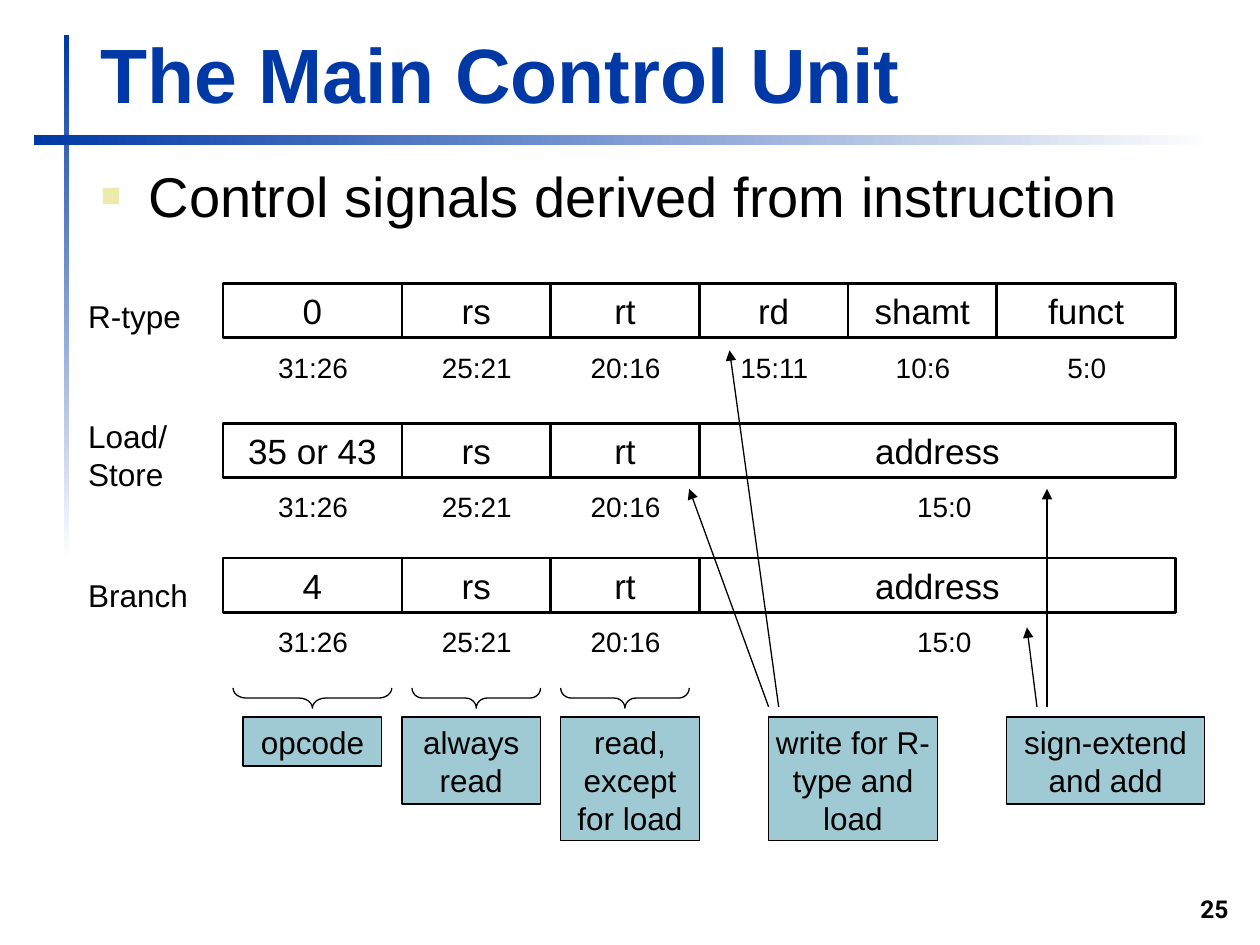
from itertools import accumulate

from lxml import etree
from pptx import Presentation
from pptx.dml.color import RGBColor
from pptx.enum.shapes import MSO_CONNECTOR, MSO_SHAPE
from pptx.enum.text import MSO_ANCHOR, PP_ALIGN
from pptx.oxml.ns import qn
from pptx.util import Inches, Pt

BLACK = RGBColor(0x00, 0x00, 0x00)
WHITE = RGBColor(0xFF, 0xFF, 0xFF)
BLUE = RGBColor(0x00, 0x39, 0xA6)
TEAL = RGBColor(0x9F, 0xCA, 0xD3)
SAND = RGBColor(0xEC, 0xEA, 0xAC)
RECT, BRACE = MSO_SHAPE.RECTANGLE, MSO_SHAPE.LEFT_BRACE
LINE = MSO_CONNECTOR.STRAIGHT
LEFT, MID, RIGHT = PP_ALIGN.LEFT, PP_ALIGN.CENTER, PP_ALIGN.RIGHT
TOP, BOTTOM = MSO_ANCHOR.TOP, MSO_ANCHOR.BOTTOM

WIDTHS = [1.42, 1.18, 1.18, 1.18, 1.18, 1.42]
EDGES = list(accumulate(WIDTHS, initial=1.77))
SHARED = [("rs", "25:21", 1), ("rt", "20:16", 1)]
ADDRESS = [("address", "15:0", 3)]
FORMATS = [
    ("R-type", 2.31, 2.25, [("0", "31:26", 1), *SHARED, ("rd", "15:11", 1),
                            ("shamt", "10:6", 1), ("funct", "5:0", 1)]),
    ("Load/\nStore", 3.26, 3.36, [("35 or 43", "31:26", 1), *SHARED, *ADDRESS]),
    ("Branch", 4.52, 4.43, [("4", "31:26", 1), *SHARED, *ADDRESS]),
]
NOTES = [
    ("opcode", 1.93, 1.1, 0.39),
    ("always read", 3.19, 1.1, 0.69),
    ("read, except for load", 4.45, 1.1, 0.98),
    ("write for R-type and load", 6.1, 1.34, 0.98),
    ("sign-extend and add", 7.99, 1.57, 0.69),
]
ARROWS = [(6.1, 5.47, 3.88), (6.18, 5.79, 2.78),
          (8.23, 8.15, 4.98), (8.31, 8.31, 3.88)]


def write(shape, text, size=18, align=LEFT, anchor=TOP, wrap=True,
          color=BLACK, bold=False, font="Arial", bullet=None):
    """Put formatted text into a shape."""
    frame = shape.text_frame
    frame.word_wrap = wrap
    frame.vertical_anchor = anchor
    frame.margin_left = frame.margin_right = Inches(0.05)
    frame.margin_top = frame.margin_bottom = Inches(0.05)
    para = frame.paragraphs[0]
    para.text = text
    para.alignment = align
    if bullet:
        mark(para, bullet)
    para.font.size = Pt(size)
    para.font.name = font
    para.font.bold = bold
    para.font.color.rgb = color


def mark(para, sign):
    """Give a paragraph a coloured bullet and a hanging indent."""
    props = para._p.get_or_add_pPr()
    props.set("marL", str(Inches(0.38)))
    props.set("indent", str(-Inches(0.38)))
    tint = etree.SubElement(props, qn("a:buClr"))
    etree.SubElement(tint, qn("a:srgbClr"), val=str(SAND))
    etree.SubElement(props, qn("a:buSzPct"), val="60000")
    etree.SubElement(props, qn("a:buFont"), typeface="Arial")
    etree.SubElement(props, qn("a:buChar"), char=sign)


def label(slide, text, x, y, w, h, **style):
    """Add a text box."""
    box = slide.shapes.add_textbox(Inches(x), Inches(y), Inches(w), Inches(h))
    write(box, text, **style)


def draw(slide, kind, x, y, w, h):
    """Add a plain shape without shadow or fill."""
    shape = slide.shapes.add_shape(
        kind, Inches(x), Inches(y), Inches(w), Inches(h))
    shape.shadow.inherit = False
    shape.fill.background()
    return shape


def outline(shape, width):
    """Set a black outline."""
    shape.line.color.rgb = BLACK
    shape.line.width = Pt(width)


def block(slide, text, x, y, w, h, size=18, fill=None, width=0.75):
    """Add an outlined rectangle with centred text."""
    shape = draw(slide, RECT, x, y, w, h)
    if fill:
        shape.fill.solid()
        shape.fill.fore_color.rgb = fill
    outline(shape, width)
    write(shape, text, size=size, align=MID)


def rule(slide, x, y, w, h, angle):
    """Add a bar that fades from blue to white."""
    bar = draw(slide, RECT, x, y, w, h)
    bar.line.fill.background()
    bar.fill.gradient()
    bar.fill.gradient_angle = angle
    for stop, color in zip(bar.fill.gradient_stops, (WHITE, BLUE)):
        stop.color.rgb = color


def brace(slide, x, w):
    """Add a brace that opens upward and points down."""
    thick = 0.16
    shape = draw(slide, BRACE, x + (w - thick) / 2, 5.54 - w / 2, thick, w)
    shape.rotation = 270
    shape.adjustments[0] = w / 12 / thick
    outline(shape, 0.75)


def arrow(slide, x, tip, y):
    """Add an arrow from the note row up to a field."""
    line = slide.shapes.add_connector(
        LINE, Inches(x), Inches(5.61), Inches(tip), Inches(y))
    outline(line, 0.75)
    etree.SubElement(line.line._get_or_add_ln(), qn("a:tailEnd"), type="triangle")
    etree.SubElement(line._element.spPr, qn("a:effectLst"))


def layout(slide, name, y, top, fields):
    """Add one instruction format: name, fields and bit ranges."""
    label(slide, name, 0.65, y, 0.91, 0.38, wrap=False)
    col = 0
    for text, bits, span in fields:
        x, end = EDGES[col], EDGES[col + span]
        block(slide, text, x, top, end - x, 0.43, size=20, width=1.5)
        shift = 0.05 if span > 1 else 0
        label(slide, bits, (x + end) / 2 - 0.33 + shift, top + 0.48, 0.67, 0.34,
              size=16, align=MID, wrap=False)
        col += span


def main():
    """Build and save the slide."""
    deck = Presentation()
    deck.slide_width, deck.slide_height = Inches(10), Inches(7.5)
    slide = deck.slides.add_slide(deck.slide_layouts[6])
    rule(slide, 0.51, 0.28, 0.04, 4.17, 90)
    rule(slide, 0.27, 1.07, 9.37, 0.08, 180)
    label(slide, "25", 9.47, 7.06, 0.33, 0.32, size=14, align=RIGHT,
          anchor=BOTTOM, wrap=False, bold=True, font="Roboto")
    label(slide, "The Main Control Unit", 0.75, 0.16, 9.03, 0.83, size=44,
          anchor=BOTTOM, color=BLUE, bold=True)
    label(slide, "Control signals derived from instruction",
          0.75, 1.23, 9.05, 0.76, size=32, bullet="■")
    for item in FORMATS:
        layout(slide, *item)
    for x, w in zip(EDGES[:3], WIDTHS):
        brace(slide, x + 0.08, w - 0.16)
    for text, x, w, h in NOTES:
        block(slide, text, x, 5.69, w, h, fill=TEAL)
    for item in ARROWS:
        arrow(slide, *item)
    deck.save("out.pptx")


if __name__ == "__main__":
    main()
